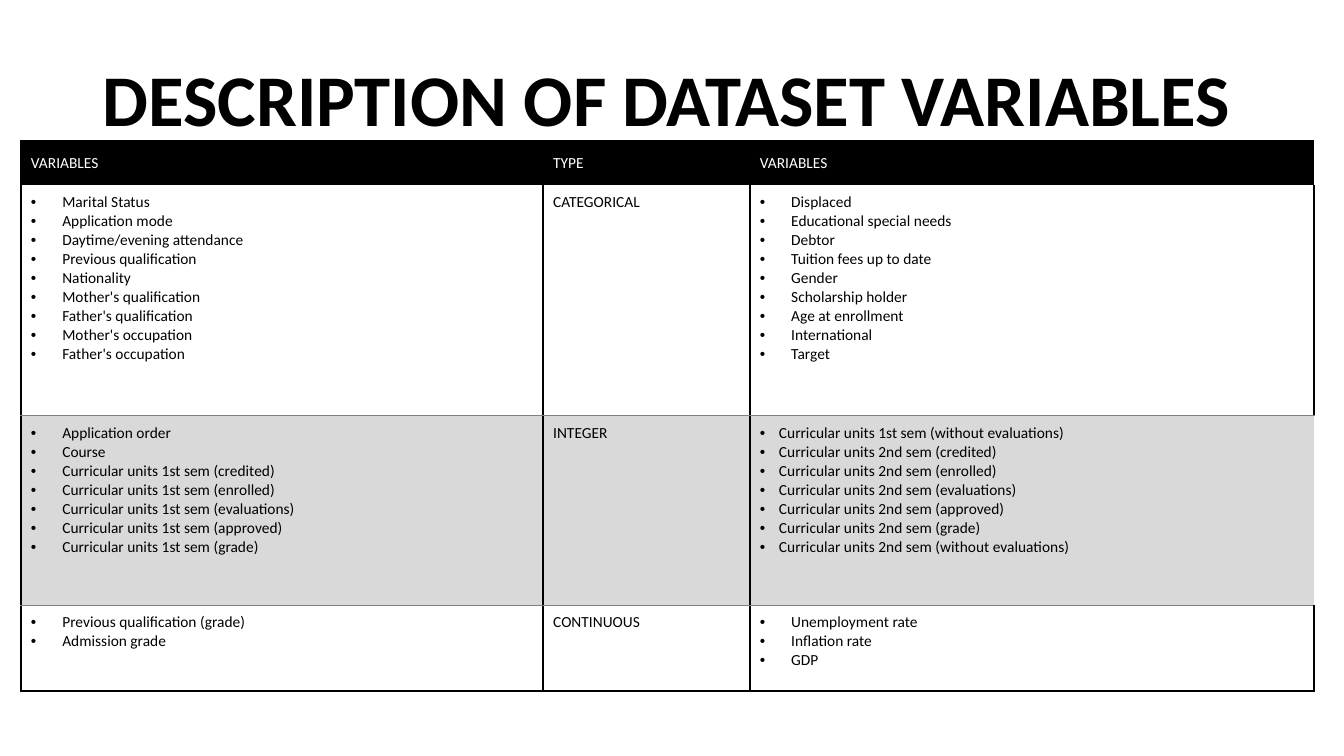
"""Build the slide that describes the dataset variables by type."""
from dataclasses import dataclass

from lxml import etree
from pptx import Presentation
from pptx import util as u
from pptx.dml.color import RGBColor
from pptx.enum import text
from pptx.oxml.ns import qn


@dataclass(frozen=True)
class Theme:
    """Colours, typeface and type sizes."""
    ink: str = "000000"
    paper: str = "FFFFFF"
    band: str = "D9D9D9"
    rule: str = "808080"
    typeface: str = "Calibri"
    title_size: int = 52
    cell_size: int = 11


THEME = Theme()
NO_STYLE = "{2D5ABB26-0587-4C30-8999-92F81FD0307C}"
HEAVY = (THEME.ink, 1.5)
FINE = (THEME.rule, 0.5)
SIDES = {"L": HEAVY, "R": HEAVY}
BAND_LEFT = {**SIDES, "T": FINE}
BAND_RIGHT = {"L": HEAVY, "T": FINE}

COLUMNS = (13.16, 5.21, 14.22)
ROWS = (
    {"height": 1.09, "fill": THEME.ink, "color": THEME.paper,
     "anchor": text.MSO_ANCHOR.MIDDLE, "indents": (0, 0, 0),
     "borders": ({"L": HEAVY, "T": HEAVY}, {"T": HEAVY}, {"T": HEAVY}),
     "cells": (["VARIABLES"], ["TYPE"], ["VARIABLES"])},
    {"height": 5.82, "fill": THEME.paper, "color": THEME.ink,
     "anchor": text.MSO_ANCHOR.TOP, "indents": (0.79, 0, 0.79),
     "borders": ({**SIDES, "B": FINE},) * 3,
     "cells": (
         ["Marital Status", "Application mode", "Daytime/evening attendance",
          "Previous qualification", "Nationality", "Mother's qualification",
          "Father's qualification", "Mother's occupation",
          "Father's occupation"],
         ["CATEGORICAL"],
         ["Displaced", "Educational special needs", "Debtor",
          "Tuition fees up to date", "Gender", "Scholarship holder",
          "Age at enrollment", "International", "Target"])},
    {"height": 4.78, "fill": THEME.band, "color": THEME.ink,
     "anchor": text.MSO_ANCHOR.TOP, "indents": (0.79, 0, 0.48),
     "borders": (BAND_LEFT, BAND_LEFT, BAND_RIGHT),
     "cells": (
         ["Application order", "Course",
          "Curricular units 1st sem (credited)",
          "Curricular units 1st sem (enrolled)",
          "Curricular units 1st sem (evaluations)",
          "Curricular units 1st sem (approved)",
          "Curricular units 1st sem (grade)"],
         ["INTEGER"],
         ["Curricular units 1st sem (without evaluations)",
          "Curricular units 2nd sem (credited)",
          "Curricular units 2nd sem (enrolled)",
          "Curricular units 2nd sem (evaluations)",
          "Curricular units 2nd sem (approved)",
          "Curricular units 2nd sem (grade)",
          "Curricular units 2nd sem (without evaluations)"])},
    {"height": 2.16, "fill": THEME.paper, "color": THEME.ink,
     "anchor": text.MSO_ANCHOR.TOP, "indents": (0.79, 0, 0.79),
     "borders": ({**SIDES, "B": HEAVY},) * 3,
     "cells": (
         ["Previous qualification (grade)", "Admission grade"],
         ["CONTINUOUS"],
         ["Unemployment rate", "Inflation rate", "GDP"])},
)


def assign(target, values):
    """Set every attribute named in a dict of format values."""
    for name, value in values.items():
        setattr(target, name, value)


class Page:
    """The current slide and the style its elements share."""

    def __init__(self, deck, theme):
        """Add a blank slide to the deck."""
        self.slide = deck.slides.add_slide(deck.slide_layouts[6])
        self.theme = theme

    def add_span(self, para, words, size, color, bold=False):
        """Add one styled span to a paragraph."""
        span = para.add_run()
        span.text = words
        assign(span.font, {"name": self.theme.typeface, "size": u.Pt(size),
                           "bold": bold})
        span.font.color.rgb = RGBColor.from_string(color)

    def title(self, words, left, top, width, height):
        """Place the slide title."""
        box = self.slide.shapes.add_textbox(*map(u.Cm, (left, top, width, height)))
        assign(box.text_frame, {"word_wrap": True,
                                "vertical_anchor": text.MSO_ANCHOR.MIDDLE})
        para = box.text_frame.paragraphs[0]
        assign(para, {"line_spacing": 0.9, "space_after": u.Pt(6)})
        self.add_span(para, words, self.theme.title_size, self.theme.ink, True)

    def bullet(self, para, indent):
        """Give a paragraph a hanging bullet."""
        props = para._p.get_or_add_pPr()
        props.set("marL", str(u.Cm(indent)))
        props.set("indent", str(-u.Cm(indent)))
        etree.SubElement(props, qn("a:buFont")).set("typeface", "Arial")
        etree.SubElement(props, qn("a:buChar")).set("char", "•")

    def border(self, cell, edges):
        """Draw the listed edges of a cell."""
        props = cell._tc.get_or_add_tcPr()
        for side in "LRTB":
            if side in edges:
                color, weight = edges[side]
                line = etree.SubElement(props, qn(f"a:ln{side}"))
                line.set("w", str(u.Pt(weight)))
                fill = etree.SubElement(line, qn("a:solidFill"))
                etree.SubElement(fill, qn("a:srgbClr")).set("val", color)

    def cell(self, cell, lines, indent, edges, row):
        """Fill and format one table cell."""
        assign(cell, {"margin_left": u.Cm(0.25), "margin_right": u.Cm(0.13),
                      "margin_top": u.Cm(0.2), "margin_bottom": u.Cm(0.2),
                      "vertical_anchor": row["anchor"]})
        self.border(cell, edges)
        cell.fill.solid()
        cell.fill.fore_color.rgb = RGBColor.from_string(row["fill"])
        frame = cell.text_frame
        for index, words in enumerate(lines):
            para = frame.add_paragraph() if index else frame.paragraphs[0]
            if indent:
                self.bullet(para, indent)
            self.add_span(para, words, self.theme.cell_size, row["color"])

    def table(self, rows, columns, left, top):
        """Place a table built from row records and column widths."""
        size = (sum(columns), sum(row["height"] for row in rows))
        frame = self.slide.shapes.add_table(
            len(rows), len(columns), *map(u.Cm, (left, top, *size)))
        table = frame.table
        assign(table, {"first_row": False, "horz_banding": False})
        table._tbl.tblPr.find(qn("a:tableStyleId")).text = NO_STYLE
        for column, width in zip(table.columns, columns):
            column.width = u.Cm(width)
        for line, row in zip(table.rows, rows):
            line.height = u.Cm(row["height"])
            for cell, lines, indent, edges in zip(
                    line.cells, row["cells"], row["indents"], row["borders"]):
                self.cell(cell, lines, indent, edges, row)


def main():
    """Build and save the deck."""
    deck = Presentation()
    assign(deck, {"slide_width": u.Cm(33.87), "slide_height": u.Cm(19.05)})
    page = Page(deck, THEME)
    page.title("DESCRIPTION OF DATASET VARIABLES", 2.34, 0.51, 29.21, 4.19)
    page.table(ROWS, COLUMNS, 0.53, 3.56)
    deck.save("out.pptx")


if __name__ == "__main__":
    main()
